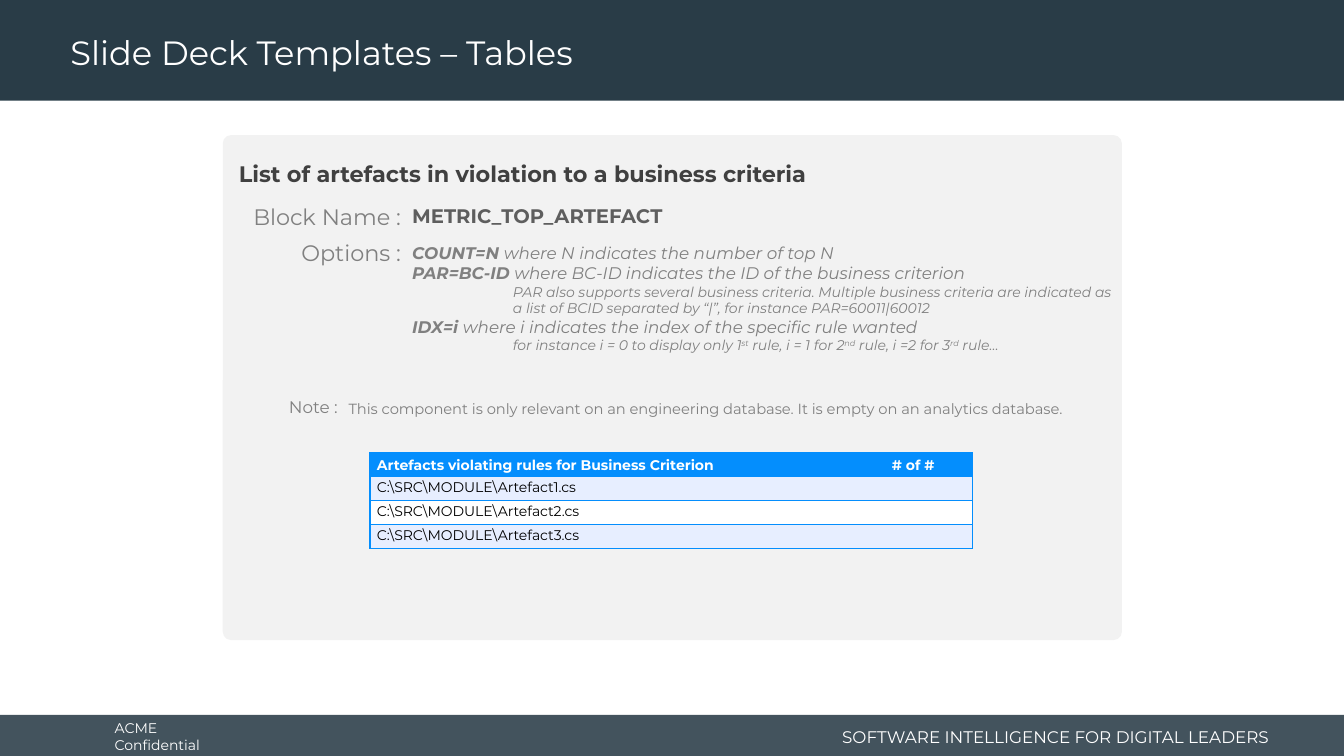
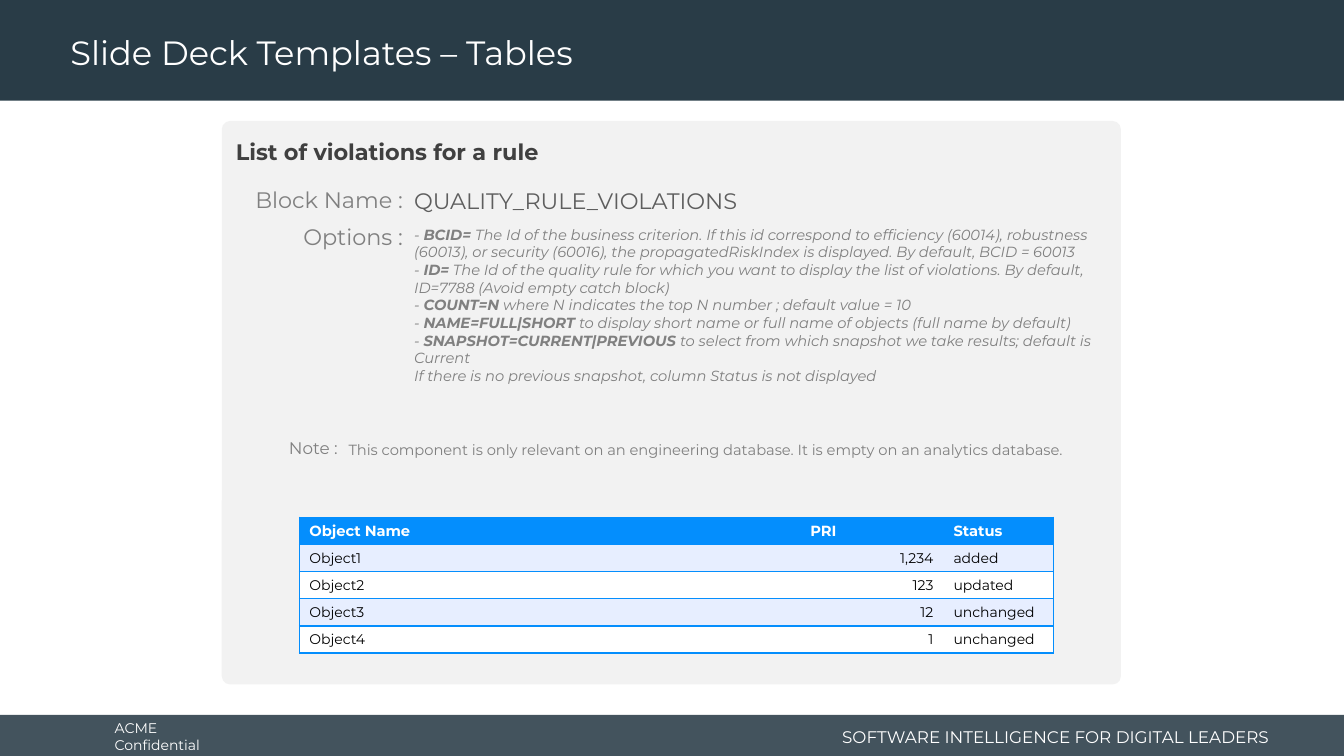
import lxml.etree
import pptx
import pptx.dml.color
import pptx.enum.shapes
import pptx.enum.text
import pptx.oxml.ns
import pptx.util

ALIGN = pptx.enum.text.PP_ALIGN
ANCHOR = pptx.enum.text.MSO_ANCHOR
SHAPE = pptx.enum.shapes.MSO_SHAPE
qn = pptx.oxml.ns.qn


def colour(value):
    return pptx.dml.color.RGBColor.from_string(value)


def fill(target, value):
    target.fill.solid()
    target.fill.fore_color.rgb = colour(value)


class Deck:
    COLUMNS, ROWS = 80, 45
    FONT = "Montserrat"
    NAVY, WHITE, BLACK = "293C47", "FFFFFF", "000000"
    CARD, HEADING, NAME, GREY = "F2F2F2", "404040", "5E5E5E", "808080"
    BLUE, STRIPE = "048EFD", "E7EEFF"
    CARD_WIDTH = 53.52

    def __init__(self):
        self.file = pptx.Presentation()
        self.file.slide_width = pptx.util.Inches(13.33)
        self.file.slide_height = pptx.util.Inches(7.5)
        self.slide = None

    def x(self, columns):
        return round(self.file.slide_width * columns / self.COLUMNS)

    def y(self, rows):
        return round(self.file.slide_height * rows / self.ROWS)

    def place(self, left, top, width, height):
        return self.x(left), self.y(top), self.x(width), self.y(height)

    def new_slide(self, title):
        self.slide = self.file.slides.add_slide(self.file.slide_layouts[6])
        footer = self.box((0, 42.55, 80, 2.45), self.NAVY)
        shade = footer.fill._xPr.find(".//" + qn("a:srgbClr"))
        lxml.etree.SubElement(shade, qn("a:alpha"), val="88000")
        self.box((0, 0, 80, 6), self.NAVY)
        middle = {"vertical_anchor": ANCHOR.MIDDLE}
        self.text((6.24, 42.66, 8.88, 2.4), ["ACME Confidential"], 10, self.WHITE, frame=middle)
        self.text((48.66, 42.9, 27.48, 1.92), ["SOFTWARE INTELLIGENCE FOR DIGITAL LEADERS"],
                  12, self.WHITE, ALIGN.RIGHT, frame=middle)
        self.text((3.6, 0.24, 57.5, 5.76), [title], 24, self.WHITE, frame=middle)

    def box(self, area, shade, kind=SHAPE.RECTANGLE):
        shape = self.slide.shapes.add_shape(kind, *self.place(*area))
        shape.shadow.inherit = False
        fill(shape, shade)
        shape.line.fill.background()
        return shape

    def add_runs(self, paragraph, text, size, shade, align=ALIGN.LEFT, **style):
        paragraph.alignment = align
        for i, part in enumerate(text.split("*")):
            for j, piece in enumerate(part.split("^")):
                if not piece:
                    continue
                run = paragraph.add_run()
                run.text = piece
                run.font.color.rgb = colour(shade)
                look = {"name": self.FONT, "size": pptx.util.Pt(size), "bold": i % 2 == 1, **style}
                for key, value in look.items():
                    setattr(run.font, key, value)
                if j % 2:
                    run.font._element.set("baseline", "30000")
        if not text:
            lxml.etree.SubElement(paragraph._p, qn("a:endParaRPr"), sz=str(int(size * 100)))

    def text(self, area, lines, size, shade, align=ALIGN.LEFT, frame=None, detail_size=10, **style):
        body = self.slide.shapes.add_textbox(*self.place(*area)).text_frame
        for key, value in {"word_wrap": True, **(frame or {})}.items():
            setattr(body, key, value)
        for number, line in enumerate(lines):
            paragraph = body.add_paragraph() if number else body.paragraphs[0]
            detail = line.startswith("\t")
            self.add_runs(paragraph, line.strip("\t"), detail_size if detail else size, shade, align, **style)
            if detail:
                paragraph.level = 2
                for key, value in {"marL": pptx.util.Inches(1), "indent": 0}.items():
                    paragraph._p.get_or_add_pPr().set(key, str(int(value)))

    def label(self, text, right, top, width, size):
        self.text((right - width, top, width, 2.22), [text], size, self.GREY,
                  ALIGN.RIGHT, {"word_wrap": False})

    def card(self, left, top, height, heading_left, heading_top, heading):
        card = self.box((left, top, self.CARD_WIDTH, height), self.CARD, SHAPE.ROUNDED_RECTANGLE)
        card.adjustments[0] = 0.5 / height
        inset = pptx.util.Inches(0.2)
        self.text((heading_left, heading_top, self.CARD_WIDTH, 2.22), [heading], 16, self.HEADING,
                  frame={"margin_left": inset, "margin_right": inset}, bold=True)

    def block(self, left, label_top, name_top, name, size, **style):
        self.label("Block Name :", left + 0.52, label_top, 10.02, 16)
        self.text((left, name_top, 43.5, 2.22), [name], size, self.NAME, **style)

    def options(self, left, label_top, top, width, height, lines, size):
        self.label("Options :", left + 0.52, label_top, 7.26, 16)
        self.text((left, top, width, height), lines, size, self.GREY, italic=True)

    def note(self, top, text):
        self.label("Note :", 20.7, top - 0.2, 4.2, 12)
        self.text((20.16, top, 45.9, 1.74), [text], 10.5, self.GREY)

    def borders(self, cell, first, last):
        sides = {"a:lnL": first, "a:lnR": last, "a:lnT": True, "a:lnB": True}
        properties = cell._tc.get_or_add_tcPr()
        for position, (side, drawn) in enumerate(sides.items()):
            line = lxml.etree.Element(qn(side), w=str(int(pptx.util.Pt(1))))
            paint = lxml.etree.SubElement(line, qn("a:solidFill" if drawn else "a:noFill"))
            if drawn:
                lxml.etree.SubElement(paint, qn("a:srgbClr"), val=self.BLUE)
            properties.insert(position, line)

    def table(self, left, top, widths, row_height, rows, head, body):
        area = self.place(left, top, sum(widths), row_height * len(rows))
        grid = self.slide.shapes.add_table(len(rows), len(widths), *area).table
        for column, width in zip(grid.columns, widths):
            column.width = self.x(width)
        for r, values in enumerate(rows):
            grid.rows[r].height = self.y(row_height)
            part = body if r else head
            shade = (self.STRIPE if r % 2 else self.WHITE) if r else self.BLUE
            for c, value in enumerate(values):
                cell = grid.cell(r, c)
                for key, setting in part["cell"].items():
                    setattr(cell, key, setting)
                fill(cell, shade)
                self.borders(cell, c == 0, c == len(widths) - 1)
                paragraph = cell.text_frame.paragraphs[0]
                paragraph.line_spacing = part["spacing"]
                self.add_runs(paragraph, value, part["size"], self.BLACK if r else self.WHITE,
                              part["align"][c], bold=r == 0)


def artefacts_slide(deck, title, note):
    deck.new_slide(title)
    deck.card(13.26, 8.04, 30.06, 13.02, 9.24, "List of artefacts in violation to a business criteria")
    deck.block(23.94, 11.82, 11.82, "METRIC_TOP_ARTEFACT", 14, bold=True)
    deck.options(23.94, 13.92, 14.16, 43.5, 7.32, [
        "*COUNT=N *where N indicates the number of top N",
        "*PAR=BC-ID* where BC-ID indicates the ID of the business criterion",
        "\tPAR also supports several business criteria. Multiple business criteria are indicated as "
        "a list of BCID separated by “|”, for instance PAR=60011|60012",
        "*IDX=i *where i indicates the index of the specific rule wanted",
        "\tfor instance i = 0 to display only 1^st^ rule, i = 1 for 2^nd^ rule, i =2 for 3^rd^ rule…",
    ], 12)
    deck.note(23.52, note)
    inset = pptx.util.Inches(0.07)
    margins = {"margin_left": inset, "margin_right": inset, "margin_top": 0, "margin_bottom": 0}
    shared = {"size": 10, "spacing": 1.15, "align": [ALIGN.LEFT, ALIGN.CENTER]}
    artefacts = [[f"C:\\SRC\\MODULE\\Artefact{n}.cs", ""] for n in range(1, 4)]
    deck.table(22.02, 26.94, [28.8, 7.08], 1.43,
               [["Artefacts violating rules for Business Criterion", "# of #"], *artefacts],
               {**shared, "cell": {**margins, "vertical_anchor": ANCHOR.MIDDLE}},
               {**shared, "cell": margins})


def violations_slide(deck, title, note):
    deck.new_slide(title)
    deck.card(13.2, 7.2, 33.54, 12.84, 7.92, "List of violations for a rule")
    deck.block(24.06, 10.8, 10.86, "QUALITY_RULE_VIOLATIONS", 16)
    deck.options(24.06, 12.96, 13.14, 42.84, 10.98, [
        "- *BCID= *The Id of the business criterion. If this id correspond to efficiency (60014), "
        "robustness (60013), or security (60016), the propagatedRiskIndex is displayed. "
        "By default, BCID = 60013",
        "- *ID=* The Id of the quality rule for which you want to display the list of violations. "
        "By default, ID=7788 (Avoid empty catch block)",
        "- *COUNT=N* where N indicates the top N number ; default value = 10",
        "- *NAME=FULL|SHORT* to display short name or full name of objects (full name by default)",
        "- *SNAPSHOT=CURRENT|PREVIOUS* to select from which snapshot we take results; default is Current",
        "If there is no previous snapshot, column Status is not displayed",
    ], 10.5)
    deck.note(25.96, note)
    deck.table(17.82, 30.78, [29.82, 8.52, 6.54], 1.61, [
        ["Object Name", "PRI", "Status"],
        ["Object1", "1,234", "added"],
        ["Object2", "123", "updated"],
        ["Object3", "12", "unchanged"],
        ["Object4", "1", "unchanged"],
    ], {"size": 10.5, "spacing": 1.0, "align": [ALIGN.LEFT] * 3, "cell": {}},
        {"size": 10, "spacing": 1.0, "align": [ALIGN.LEFT, ALIGN.RIGHT, ALIGN.LEFT],
         "cell": {"vertical_anchor": ANCHOR.MIDDLE}})


def main():
    deck = Deck()
    title = "Slide Deck Templates – Tables"
    note = ("This component is only relevant on an engineering database. "
            "It is empty on an analytics database.")
    artefacts_slide(deck, title, note)
    violations_slide(deck, title, note)
    deck.file.save("out.pptx")


if __name__ == "__main__":
    main()
